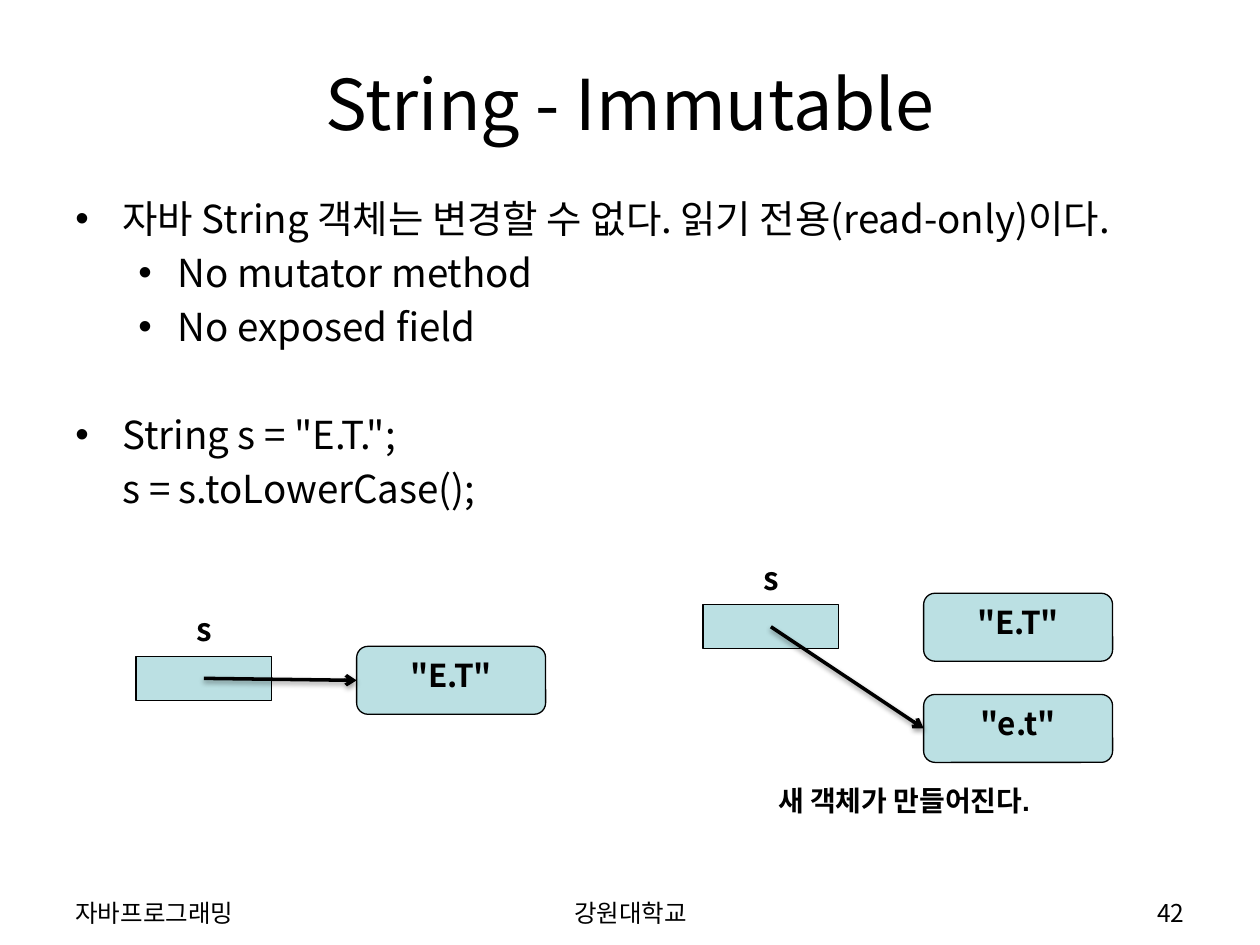
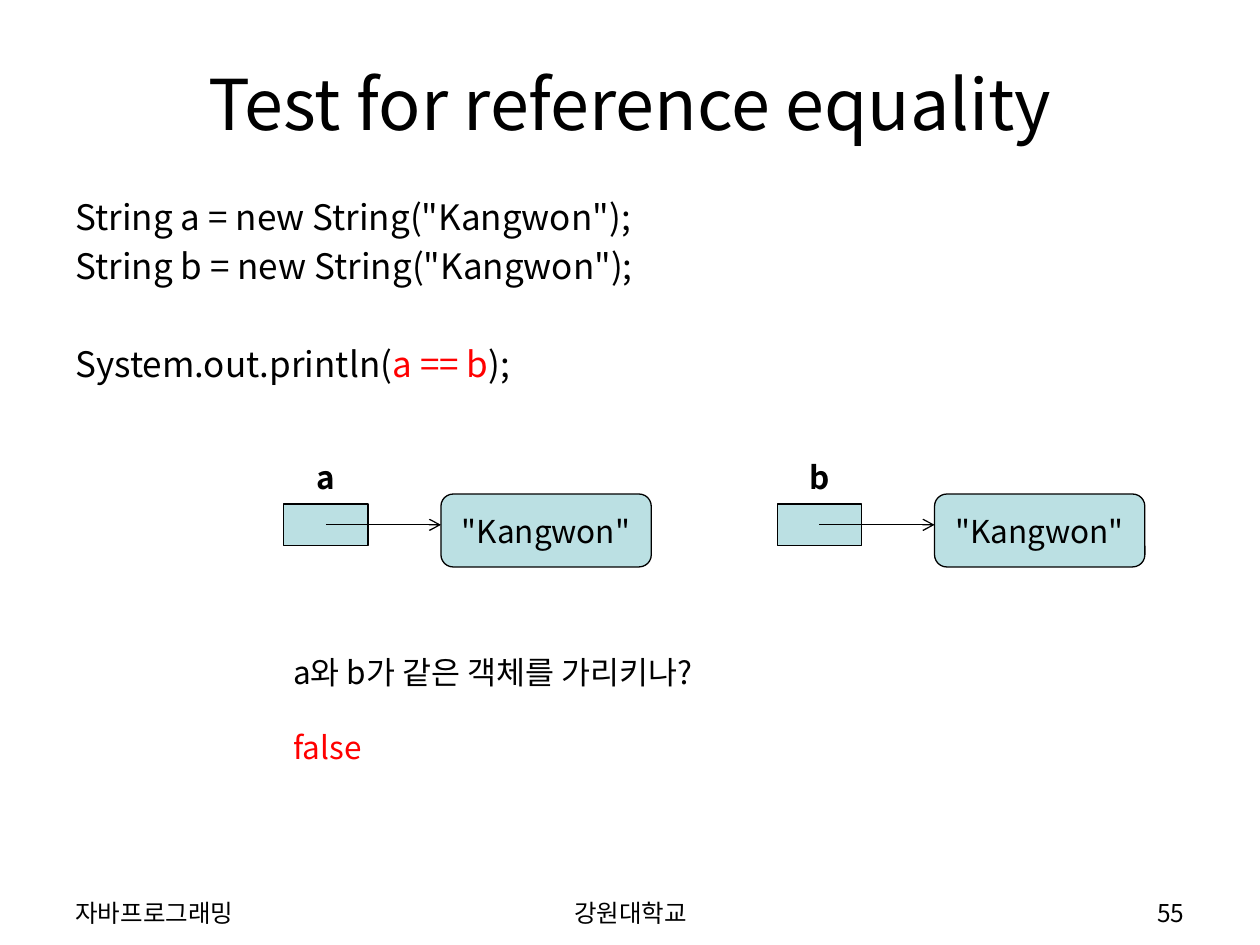
"""Build two Java lecture slides about string references."""
from dataclasses import dataclass
from typing import Optional

import lxml.etree
import pptx
import pptx.dml.color
import pptx.enum.shapes
import pptx.enum.text
import pptx.oxml.ns
import pptx.util

Cm, Pt = pptx.util.Cm, pptx.util.Pt
RGBColor = pptx.dml.color.RGBColor
Align = pptx.enum.text.PP_ALIGN
Anchor = pptx.enum.text.MSO_ANCHOR
Preset = pptx.enum.shapes.MSO_SHAPE
qn = pptx.oxml.ns.qn


@dataclass(frozen=True)
class Theme:
    ink: RGBColor = RGBColor(0, 0, 0)
    accent: RGBColor = RGBColor(0xFF, 0, 0)
    fill: RGBColor = RGBColor(0xBB, 0xE0, 0xE3)
    font: str = "Noto Sans CJK KR"
    caption_font: str = "Arial"
    title: int = 40
    body: int = 22
    code: int = 20
    label: int = 18
    caption: int = 16
    footer: int = 14
    line_spacing: float = 1.2
    outline: float = 0.75
    bold_arrow: float = 2


THEME = Theme()


@dataclass(frozen=True)
class Box:
    left: float
    top: float
    width: float
    height: float

    @property
    def center(self) -> tuple[float, float]:
        return self.left + self.width / 2, self.top + self.height / 2

    @property
    def left_middle(self) -> tuple[float, float]:
        return self.left, self.center[1]

    def lengths(self) -> list[int]:
        return [Cm(value) for value in (self.left, self.top, self.width, self.height)]


@dataclass(frozen=True)
class Line:
    """One paragraph; text between bars is drawn in the accent colour."""
    text: str
    margin: float = 0
    hanging: float = 0
    before: float = 0


@dataclass(frozen=True)
class TextStyle:
    size: int
    align: Align = Align.LEFT
    anchor: Anchor = Anchor.TOP
    bold: bool = False
    font: str = THEME.font


@dataclass(frozen=True)
class Reference:
    """A variable cell with its name above it."""
    name: str
    cell: Box


TITLE_BOX = Box(1.27, 0.76, 22.86, 2.62)
FOOTER_TOP, FOOTER_HEIGHT = 17.98, 0.69
LABEL_WIDTH, LABEL_HEIGHT, LABEL_RISE = 1.5, 1.02, 1.05


def write(shape, lines: list[Line], style: TextStyle) -> None:
    """Fill a shape with styled paragraphs."""
    frame = shape.text_frame
    frame.word_wrap = True
    frame.vertical_anchor = style.anchor
    for index, line in enumerate(lines):
        paragraph = frame.paragraphs[0] if index == 0 else frame.add_paragraph()
        paragraph.alignment = style.align
        paragraph.line_spacing = Pt(style.size * THEME.line_spacing)
        if line.before:
            paragraph.space_before = Pt(line.before)
        properties = paragraph._p.get_or_add_pPr()
        properties.set("marL", str(Cm(line.margin)))
        properties.set("indent", str(-Cm(line.hanging)))
        if line.hanging:
            lxml.etree.SubElement(properties, qn("a:buFont"), typeface="Arial")
            lxml.etree.SubElement(properties, qn("a:buChar"), char="•")
        else:
            lxml.etree.SubElement(properties, qn("a:buNone"))
        font = paragraph.font
        font.size = Pt(style.size)
        font.bold = style.bold
        font.color.rgb = THEME.ink
        font.name = style.font
        lxml.etree.SubElement(properties.find(qn("a:defRPr")), qn("a:ea"), typeface=THEME.font)
        for position, part in enumerate(line.text.split("|")):
            if part:
                run = paragraph.add_run()
                run.text = part
                if position % 2:
                    run.font.color.rgb = THEME.accent


def add_text(slide, box: Box, lines: list[Line], style: TextStyle) -> None:
    """Place a text box."""
    write(slide.shapes.add_textbox(*box.lengths()), lines, style)


def add_box(slide, box: Box, preset: Preset, text: str = "",
            style: Optional[TextStyle] = None) -> None:
    """Draw a filled, outlined shape with optional text."""
    shape = slide.shapes.add_shape(preset, *box.lengths())
    shape.shadow.inherit = False
    shape.fill.solid()
    shape.fill.fore_color.rgb = THEME.fill
    shape.line.color.rgb = THEME.ink
    shape.line.width = Pt(THEME.outline)
    if style:
        write(shape, [Line(text)], style)


def add_reference(slide, reference: Reference) -> None:
    """Draw a variable cell and its name."""
    cell = reference.cell
    add_box(slide, cell, Preset.RECTANGLE)
    label = Box(cell.center[0] - LABEL_WIDTH / 2, cell.top - LABEL_RISE, LABEL_WIDTH, LABEL_HEIGHT)
    add_text(slide, label, [Line(reference.name)],
             TextStyle(THEME.label, Align.CENTER, bold=True))


def add_arrow(slide, start: tuple[float, float], end: tuple[float, float],
              width: float, shadow: bool = False) -> None:
    """Draw an arrow, with a soft shadow if wanted."""
    connector = slide.shapes.add_connector(
        pptx.enum.shapes.MSO_CONNECTOR.STRAIGHT, *(Cm(value) for value in start + end))
    connector.line.color.rgb = THEME.ink
    connector.line.width = Pt(width)
    lxml.etree.SubElement(connector.line._get_or_add_ln(), qn("a:tailEnd"), type="arrow")
    effects = lxml.etree.SubElement(connector._element.spPr, qn("a:effectLst"))
    if shadow:
        outer = lxml.etree.SubElement(effects, qn("a:outerShdw"), blurRad=str(Pt(3.1)),
                                      dist=str(Pt(1.6)), dir="5400000", rotWithShape="0")
        color = lxml.etree.SubElement(outer, qn("a:srgbClr"), val=str(THEME.ink))
        lxml.etree.SubElement(color, qn("a:alpha"), val="38000")


def add_page(presentation, title: str, number: int):
    """Add a slide with its title and footers."""
    slide = presentation.slides.add_slide(presentation.slide_layouts[6])
    add_text(slide, TITLE_BOX, [Line(title)],
             TextStyle(THEME.title, Align.CENTER, Anchor.MIDDLE))
    for text, left, width, align in (("자바프로그래밍", 1.27, 6.78, Align.LEFT),
                                     ("강원대학교", 8.69, 8.05, Align.CENTER),
                                     (str(number), 18.21, 5.92, Align.RIGHT)):
        add_text(slide, Box(left, FOOTER_TOP, width, FOOTER_HEIGHT), [Line(text)],
                 TextStyle(THEME.footer, align))
    return slide


def build_immutable(presentation) -> None:
    """Build the slide on immutable strings."""
    slide = add_page(presentation, "String - Immutable", 42)
    gap = THEME.body * 0.2
    section_gap = THEME.body * THEME.line_spacing + 2 * gap
    add_text(slide, Box(1.27, 3.81, 22.86, 13.2), [
        Line("자바 String 객체는 변경할 수 없다. 읽기 전용(read-only)이다.", 0.95, 0.95),
        Line("No mutator method", 2.06, 0.79, gap),
        Line("No exposed field", 2.06, 0.79, gap),
        Line('String s = "E.T.";', 0.95, 0.95, section_gap),
        Line("s = s.toLowerCase();", 0.95, 0, gap),
    ], TextStyle(THEME.body))
    add_text(slide, Box(15.44, 15.67, 6.12, 0.94), [Line("새 객체가 만들어진다.")],
             TextStyle(THEME.caption, bold=True, font=THEME.caption_font))

    before = Reference("s", Box(2.74, 13.23, 2.74, 0.89))
    after = Reference("s", Box(14.17, 12.19, 2.74, 0.89))
    first_object = Box(7.19, 13.03, 3.81, 1.37)
    old_object = Box(18.62, 11.96, 3.81, 1.37)
    new_object = Box(18.62, 14, 3.81, 1.37)
    for box, text in ((first_object, '"E.T"'), (old_object, '"E.T"'), (new_object, '"e.t"')):
        add_box(slide, box, Preset.ROUNDED_RECTANGLE, text,
                TextStyle(THEME.label, Align.CENTER, bold=True))
    for reference, target in ((before, first_object), (after, new_object)):
        add_reference(slide, reference)
        add_arrow(slide, reference.cell.center, target.left_middle, THEME.bold_arrow, True)


def build_equality(presentation) -> None:
    """Build the slide on reference equality."""
    slide = add_page(presentation, "Test for reference equality", 55)
    gap = THEME.code * 0.2
    add_text(slide, Box(1.27, 3.81, 22.86, 4.88), [
        Line('String a = new String("Kangwon");'),
        Line('String b = new String("Kangwon");', before=gap),
        Line("System.out.println(|a == b|);",
             before=THEME.code * THEME.line_spacing + 2 * gap),
    ], TextStyle(THEME.code))
    for name, left in (("a", 5.72), ("b", 15.67)):
        reference = Reference(name, Box(left, 10.16, 1.7, 0.84))
        target = Box(left + 3.17, 9.96, 4.24, 1.47)
        add_box(slide, target, Preset.ROUNDED_RECTANGLE, '"Kangwon"',
                TextStyle(THEME.label, Align.CENTER, Anchor.MIDDLE))
        add_reference(slide, reference)
        start = reference.cell.center
        add_arrow(slide, start, (target.left, start[1]), THEME.outline)
    add_text(slide, Box(5.66, 13.03, 10, 2.57), [
        Line("a와 b가 같은 객체를 가리키나?"),
        Line("|false|", before=THEME.label * THEME.line_spacing),
    ], TextStyle(THEME.label))


def main() -> None:
    """Create and save the presentation."""
    presentation = pptx.Presentation()
    presentation.slide_width, presentation.slide_height = Cm(25.4), Cm(19.05)
    build_immutable(presentation)
    build_equality(presentation)
    presentation.save("out.pptx")


if __name__ == "__main__":
    main()
